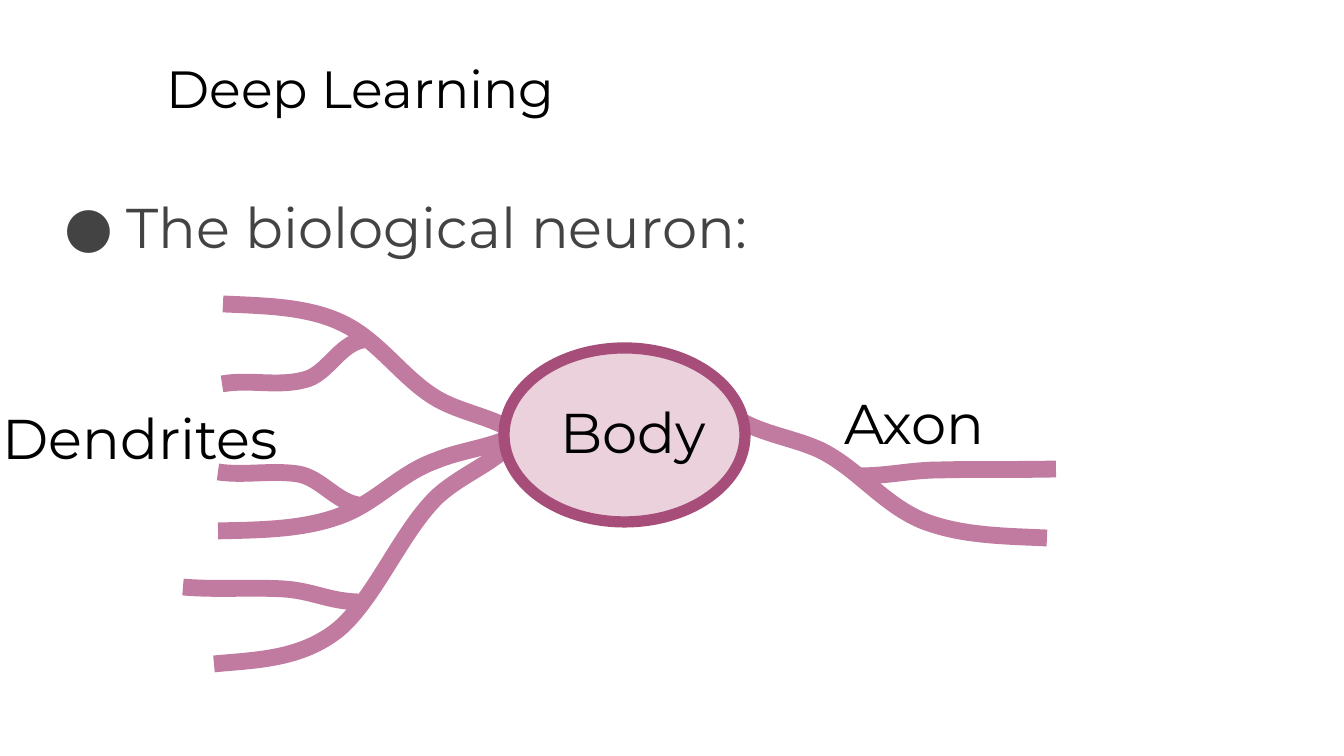
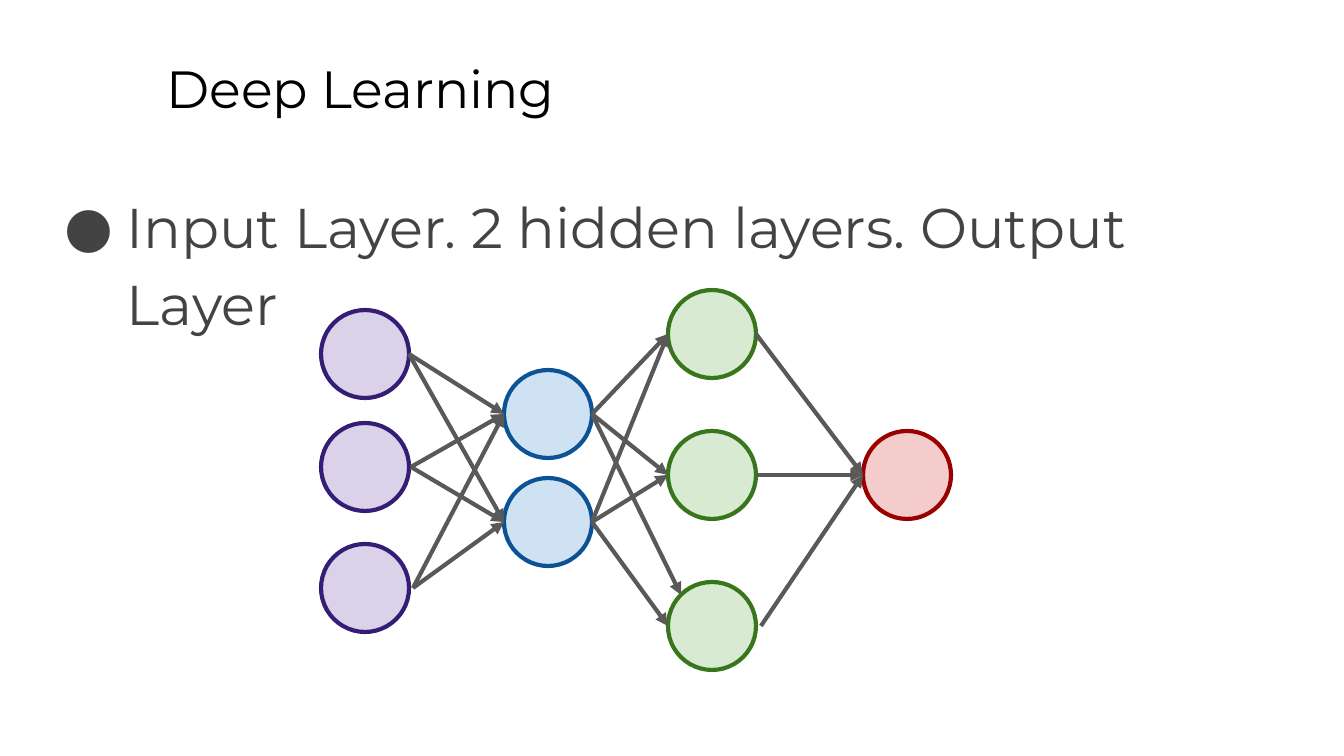
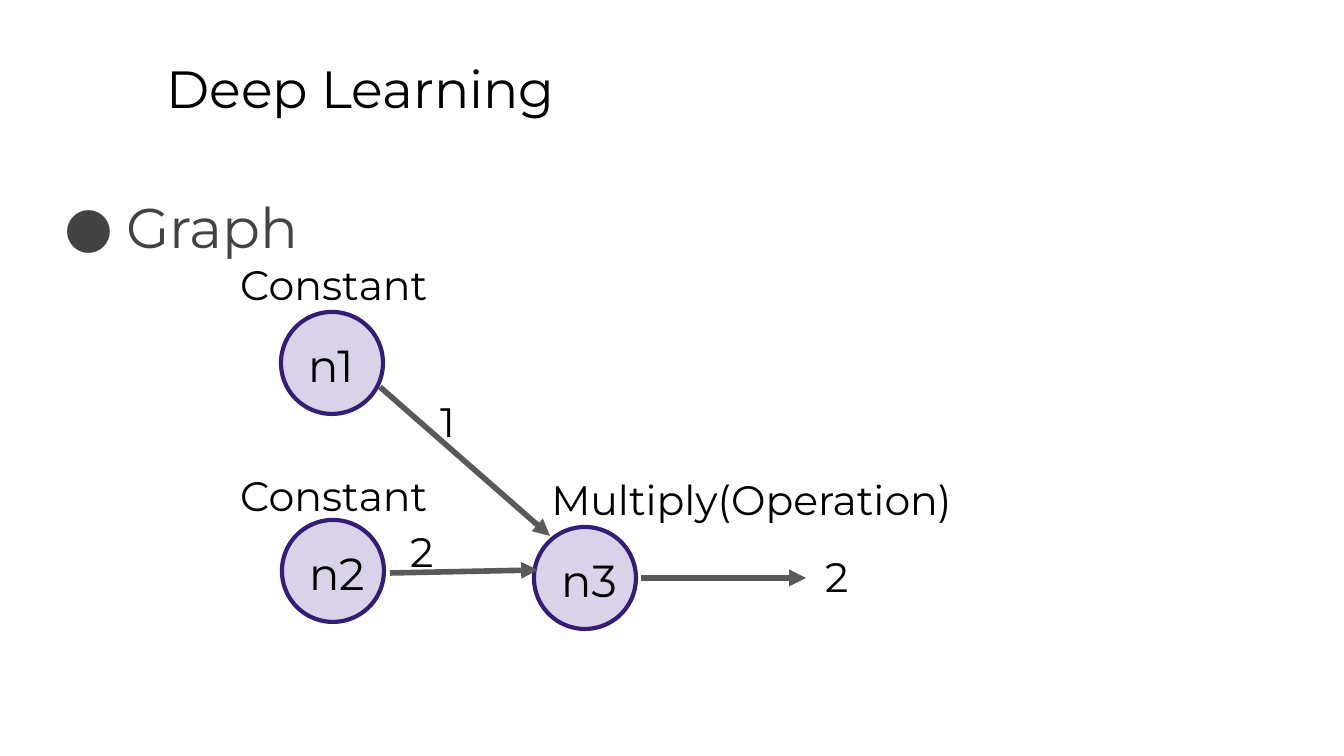
"""Build three slides on deep learning: a neuron, a network and a graph."""
from dataclasses import dataclass
from itertools import pairwise

from lxml import etree
from pptx import Presentation
from pptx.dml.color import RGBColor
from pptx.enum.shapes import MSO_CONNECTOR, MSO_SHAPE
from pptx.enum.text import MSO_ANCHOR, MSO_AUTO_SIZE, PP_ALIGN
from pptx.oxml.ns import qn
from pptx.util import Inches, Pt

EMU_PER_PIXEL = 914400 / 134.4
STRAIGHT = MSO_CONNECTOR.STRAIGHT
ELLIPSE = MSO_SHAPE.OVAL
TOP = MSO_ANCHOR.TOP
FIXED = MSO_AUTO_SIZE.NONE
LEFT = PP_ALIGN.LEFT


@dataclass(frozen=True)
class Theme:
    """Fonts, type sizes, line widths and (fill, line) colours of the deck."""

    font: str = "Montserrat"
    title: int = 28
    body: int = 30
    node: int = 24
    label: int = 22
    thin: float = 2.25
    arrow: float = 3
    membrane: float = 6
    nerve_width: float = 9
    black: str = "000000"
    grey: str = "434343"
    link: str = "595959"
    nerve: str = "C27BA0"
    cell: tuple = ("EAD1DC", "A64D79")
    purple: tuple = ("D9D2E9", "351C75")
    blue: tuple = ("CFE2F3", "0B5394")
    green: tuple = ("D9EAD3", "38761D")
    red: tuple = ("F4CCCC", "990000")


THEME = Theme()
TITLE_BOX = (153, 43, 1145, 85)
BODY_BOX = (46, 169, 1253, 503)
SHORT_BODY_BOX = (46, 169, 1292, 85)

DENDRITES = [
    [(520, 435), (496, 418), (466, 414), (441, 401), (405, 382), (382, 343),
     (344, 324), (308, 306), (263, 306), (223, 304)],
    [(363, 340), (339, 344), (327, 375), (304, 380), (277, 387), (249, 379), (222, 384)],
    [(515, 435), (491, 448), (461, 450), (435, 461), (399, 474), (376, 503),
     (340, 516), (302, 530), (259, 530), (218, 531)],
    [(358, 505), (335, 501), (321, 478), (298, 474), (271, 470), (243, 476), (218, 472)],
    [(520, 435), (493, 465), (465, 472), (438, 496), (402, 530), (376, 597),
     (339, 629), (301, 660), (255, 660), (214, 664)],
    [(358, 602), (328, 601), (313, 591), (284, 589), (251, 587), (216, 590), (183, 587)],
]
AXON = [
    [(738, 419), (762, 434), (794, 438), (820, 450), (857, 468), (882, 503),
     (921, 520), (960, 536), (1005, 536), (1047, 538)],
    [(857, 476), (891, 476), (909, 470), (942, 470), (978, 469), (1019, 470), (1056, 469)],
]


def px(length):
    """Turn pixels into EMU."""
    return round(length * EMU_PER_PIXEL)


def place(shape, box):
    """Move a shape to a pixel box."""
    shape.left, shape.top, shape.width, shape.height = map(px, box)


def write(shape, text, size=THEME.body, color=THEME.black, spacing=1.0):
    """Write one left-aligned paragraph into a shape and return it."""
    frame = shape.text_frame
    frame.word_wrap = True
    frame.auto_size = FIXED
    frame.vertical_anchor = TOP
    frame.margin_left = frame.margin_right = Inches(0.1)
    frame.margin_top = frame.margin_bottom = Inches(0.1)
    para = frame.paragraphs[0]
    para.alignment = LEFT
    para.line_spacing = spacing
    para.space_before = Pt(0)
    span = para.add_run()
    span.text = text
    span.font.name = THEME.font
    span.font.size = Pt(size)
    span.font.color.rgb = RGBColor.from_string(color)
    return para


def add_bullet(para, color):
    """Give a paragraph a hanging round bullet."""
    props = para._p.get_or_add_pPr()
    props.set("marL", str(Inches(0.5)))
    props.set("indent", str(-Inches(0.46)))
    fill = etree.SubElement(props, qn("a:buClr"))
    etree.SubElement(fill, qn("a:srgbClr"), val=color)
    etree.SubElement(props, qn("a:buFont"), typeface=THEME.font)
    etree.SubElement(props, qn("a:buChar"), char="●")


def add_page(deck, bullet, body_box=BODY_BOX):
    """Add a page with the shared title and one bullet."""
    page = deck.slides.add_slide(deck.slide_layouts[1])
    title, body = page.placeholders
    place(title, TITLE_BOX)
    write(title, "Deep Learning", size=THEME.title)
    place(body, body_box)
    para = write(body, bullet, color=THEME.grey, spacing=1.15)
    add_bullet(para, THEME.grey)
    return page


def add_label(page, text, box, size=THEME.label):
    """Add a text box."""
    write(page.shapes.add_textbox(*map(px, box)), text, size=size)


def set_line(shape, color, width):
    """Set the line colour and width of a shape."""
    shape.line.color.rgb = RGBColor.from_string(color)
    shape.line.width = Pt(width)


def add_ellipse(page, box, colors, width=THEME.thin):
    """Add an ellipse with a fill and line colour."""
    shape = page.shapes.add_shape(ELLIPSE, *map(px, box))
    shape.shadow.inherit = False
    fill, line = colors
    shape.fill.solid()
    shape.fill.fore_color.rgb = RGBColor.from_string(fill)
    set_line(shape, line, width)


def add_curve(page, points):
    """Add an open curve through a start point and Bezier point triples."""
    builder = page.shapes.build_freeform(*points[0], scale=EMU_PER_PIXEL)
    builder.add_line_segments(points[1:], close=False)
    shape = builder.convert_to_shape()
    shape.shadow.inherit = False
    shape.fill.background()
    set_line(shape, THEME.nerve, THEME.nerve_width)
    outline = next(shape.element.iter(qn("a:path")))
    segments = outline.findall(qn("a:lnTo"))
    for first in range(0, len(segments), 3):
        bezier = etree.SubElement(outline, qn("a:cubicBezTo"))
        for segment in segments[first:first + 3]:
            bezier.append(segment[0])
            outline.remove(segment)


def add_arrow(page, start, end, width=THEME.thin):
    """Add a straight arrow between two points."""
    arrow = page.shapes.add_connector(STRAIGHT, *map(px, start + end))
    set_line(arrow, THEME.link, width)
    etree.SubElement(arrow.line._get_or_add_ln(), qn("a:tailEnd"), type="triangle")
    etree.SubElement(arrow.element.spPr, qn("a:effectLst"))


def add_neuron_page(deck):
    """Draw the biological neuron."""
    page = add_page(deck, "The biological neuron:")
    for points in DENDRITES + AXON:
        add_curve(page, points)
    add_ellipse(page, (504, 348, 241, 174), THEME.cell, THEME.membrane)
    for text, left, top, width in [
        ("Axon", 831, 375, 234),
        ("Body", 547, 384, 234),
        ("Dendrites", -11, 390, 306),
    ]:
        add_label(page, text, (left, top, width, 90), size=THEME.body)


def add_network_page(deck):
    """Draw layers of (top, exit gap) nodes and link each to the next layer."""
    page = add_page(deck, "Input Layer. 2 hidden layers. Output Layer")
    size = 88
    layers = [
        (321, THEME.purple, [(310, 0), (423, 2), (544, 4)]),
        (504, THEME.blue, [(370, 0), (478, 0)]),
        (668, THEME.green, [(290, 0), (431, 0), (582, 5)]),
        (863, THEME.red, [(431, 0)]),
    ]
    corner_links = {(370, 582): (681, 595)}
    for left, colors, nodes in layers:
        for top, _ in nodes:
            add_ellipse(page, (left, top, size, size), colors)
    for (left, _, sources), (target_left, _, targets) in pairwise(layers):
        for top, gap in sources:
            start = (left + size + gap, top + size // 2)
            for target_top, _ in targets:
                middle = (target_left, target_top + size // 2)
                add_arrow(page, start, corner_links.get((top, target_top), middle))


def add_graph_page(deck):
    """Draw the computation graph."""
    page = add_page(deck, "Graph", SHORT_BODY_BOX)
    for name, left, top in [("n1", 281, 312), ("n2", 282, 520), ("n3", 534, 527)]:
        add_ellipse(page, (left, top, 102, 102), THEME.purple)
        add_label(page, name, (left + 14, top + 12, 84, 46), size=THEME.node)
    for start, end in [
        ((380, 387), (550, 536)),
        ((390, 573), (538, 570)),
        ((641, 578), (806, 578)),
    ]:
        add_arrow(page, start, end, THEME.arrow)
    for text, left, top, width in [
        ("Constant", 227, 246, 220),
        ("Constant", 227, 457, 220),
        ("Multiply(Operation)", 538, 461, 517),
        ("1", 427, 383, 220),
        ("2", 397, 513, 220),
        ("2", 812, 538, 220),
    ]:
        add_label(page, text, (left, top, width, 46))


def main():
    """Build and save the deck."""
    deck = Presentation()
    deck.slide_width, deck.slide_height = px(1344), px(756)
    add_neuron_page(deck)
    add_network_page(deck)
    add_graph_page(deck)
    deck.save("out.pptx")


main()
